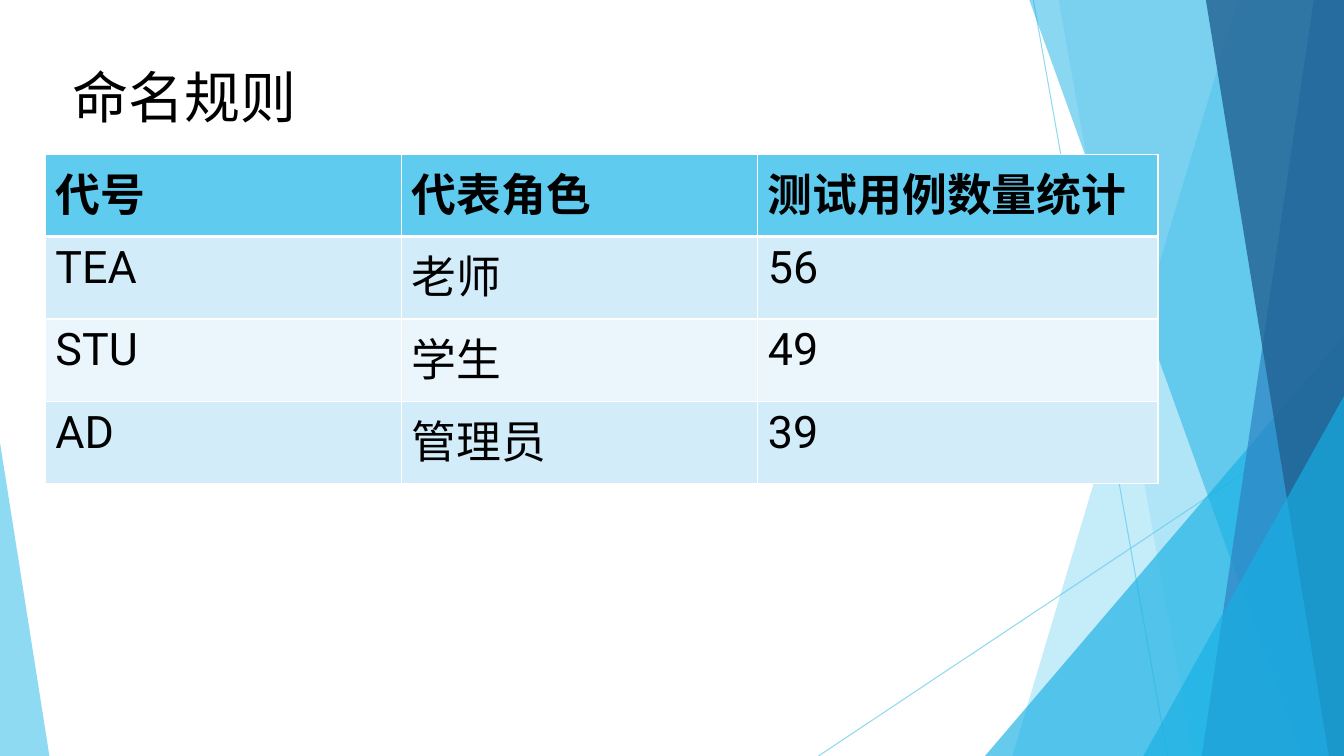
from dataclasses import dataclass

from lxml.etree import SubElement
from pptx import Presentation
from pptx.dml.color import RGBColor
from pptx.enum.shapes import MSO_CONNECTOR, MSO_SHAPE
from pptx.enum.text import MSO_ANCHOR, MSO_AUTO_SIZE, PP_ALIGN
from pptx.oxml.ns import qn
from pptx.util import Inches, Pt


@dataclass(frozen=True)
class Theme:
    font: str = "Roboto"
    title_size: int = 40
    table_size: int = 32
    text: str = "000000"
    border: str = "FFFFFF"
    sky: str = "5FCBEF"
    cyan: str = "17B0E4"
    blue: str = "2E83C3"
    navy: str = "226292"
    bands: tuple = ("D2ECF9", "EAF6FC")


def write(tf, text, font, size, color, bold=False, align=PP_ALIGN.LEFT):
    p = tf.paragraphs[0]
    p.alignment = align
    r = p.add_run()
    r.text = text
    r.font.name = font
    r.font.size = Pt(size)
    r.font.bold = bold
    r.font.color.rgb = RGBColor.from_string(color)


def set_alpha(fill_parent, percent):
    color = next(fill_parent.iter(qn("a:srgbClr")))
    SubElement(color, qn("a:alpha"), val=str(percent * 1000))


def set_borders(cell, color, **widths):
    tcPr = cell._tc.get_or_add_tcPr()
    for i, (side, width) in enumerate(widths.items()):
        ln = SubElement(tcPr, qn(f"a:ln{side}"), w=str(Pt(width)))
        SubElement(SubElement(ln, qn("a:solidFill")), qn("a:srgbClr"), val=color)
        tcPr.insert(i, ln)


class SlideBuilder:
    """Places elements by percent of the slide's width and height."""

    def __init__(self, prs, theme):
        self.width, self.height = prs.slide_width, prs.slide_height
        self.theme = theme
        self.slide = prs.slides.add_slide(prs.slide_layouts[5])
        self.shapes = self.slide.shapes

    def x(self, share):
        return round(self.width * share / 100)

    def y(self, share):
        return round(self.height * share / 100)

    def box(self, left, top, width, height):
        return self.x(left), self.y(top), self.x(width), self.y(height)

    def paint(self, sp, color, alpha):
        sp.shadow.inherit = False
        sp.fill.solid()
        sp.fill.fore_color.rgb = RGBColor.from_string(color)
        set_alpha(sp._element.spPr, alpha)
        sp.line.fill.background()

    def line(self, x1, y1, x2, y2):
        ln = self.shapes.add_connector(
            MSO_CONNECTOR.STRAIGHT, self.x(x1), self.y(y1), self.x(x2), self.y(y2))
        ln.line.width = Pt(0.75)
        ln.line.color.rgb = RGBColor.from_string(self.theme.sky)
        set_alpha(ln._element.spPr, 70)
        SubElement(ln._element.spPr, qn("a:effectLst"))

    def panel(self, top_x, bottom_x, color, alpha):
        """Full-height panel with a slanted left edge, up to the right edge."""
        fb = self.shapes.build_freeform(self.x(top_x), 0)
        fb.add_line_segments([(self.width, 0), (self.width, self.height),
                              (self.x(bottom_x), self.height)])
        self.paint(fb.convert_to_shape(), color, alpha)

    def corner(self, left, right, top, apex, color, alpha):
        """Triangle standing on the bottom edge of the slide."""
        sp = self.shapes.add_shape(
            MSO_SHAPE.ISOSCELES_TRIANGLE, *self.box(left, top, right - left, 100 - top))
        sp.adjustments[0] = apex
        self.paint(sp, color, alpha)

    def title(self, text, *box):
        sp = self.shapes.title
        sp.left, sp.top, sp.width, sp.height = self.box(*box)
        tf = sp.text_frame
        tf.word_wrap = True
        tf.auto_size = MSO_AUTO_SIZE.SHAPE_TO_FIT_TEXT
        tf.vertical_anchor = MSO_ANCHOR.TOP
        write(tf, text, self.theme.font, self.theme.title_size, self.theme.text)

    def table(self, rows, left, top, col_width, row_height):
        th, n_cols = self.theme, len(rows[0])
        table = self.shapes.add_table(
            len(rows), n_cols,
            *self.box(left, top, col_width * n_cols, row_height * len(rows))).table
        for col in table.columns:
            col.width = self.x(col_width)
        for i, values in enumerate(rows):
            table.rows[i].height = self.y(row_height)
            header = i == 0
            color = th.sky if header else th.bands[(i - 1) % 2]
            for j, value in enumerate(values):
                cell = table.cell(i, j)
                cell.fill.solid()
                cell.fill.fore_color.rgb = RGBColor.from_string(color)
                set_borders(cell, th.border, L=1, R=1,
                            T=3 if i == 1 else 1, B=3 if header else 1)
                write(cell.text_frame, value, th.font, th.table_size, th.text, bold=header)


def main():
    prs = Presentation()
    prs.slide_width, prs.slide_height = Inches(13.33), Inches(7.5)
    th = Theme()
    s = SlideBuilder(prs, th)

    # Background facets, from back to front
    s.line(76.89, 0, 86.87, 100)
    s.line(100, 53.73, 60.9, 100)
    s.panel(92.12, 75.32, th.sky, 36)
    s.panel(78.77, 88.75, th.sky, 20)
    s.corner(73.29, 100, 44.4, 1, th.cyan, 66)
    s.panel(76.59, 96.85, th.cyan, 50)
    s.panel(97.75, 89.42, th.blue, 70)
    s.panel(89.72, 98.87, th.navy, 80)
    s.corner(85.07, 100, 52.4, 1, th.cyan, 66)
    s.corner(0, 3.68, 58.53, 0, th.sky, 70)

    # Naming table, with the case counts joined to its right edge
    left, top, col_width, row_height = 3.38, 20.4, 26.5, 10.9
    roles = [("代号", "代表角色"), ("TEA", "老师"), ("STU", "学生"), ("AD", "管理员")]
    counts = [("测试用例数量统计",), ("56",), ("49",), ("39",)]
    s.table(roles, left, top, col_width, row_height)
    s.table(counts, left + 2 * col_width, top, 29.78, row_height)

    # Title
    s.title("命名规则", 4.65, 7.6, 37.5, 10.27)

    prs.save("out.pptx")


if __name__ == "__main__":
    main()
